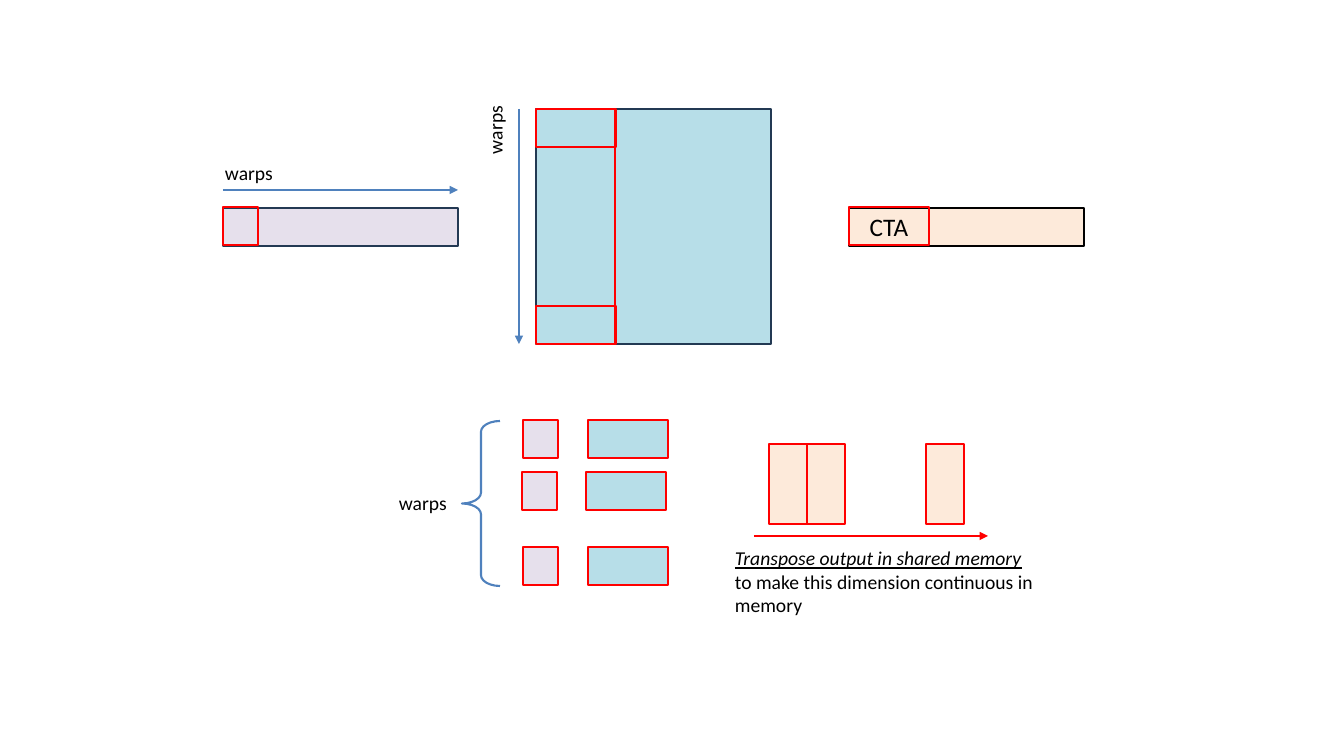
import pptx
import pptx.dml.color
import pptx.enum.shapes
import pptx.enum.text
import pptx.oxml.ns
import pptx.util
from lxml import etree

SHAPE = pptx.enum.shapes.MSO_SHAPE
RED, BLUE, NAVY, BLACK = "FF0000", "4F81BD", "233953", "000000"
LILAC, AQUA, PEACH = "E6E0EC", "B7DEE8", "FDEADA"

# Content, lengths in px
SLIDE = (1344, 756)
TILE_W, TILE_H, WARP_W = 80, 38, 35
MATRICES = [  # left, top, width, height, fill, line
    (536, 109, 235, 235, AQUA, NAVY),
    (849, 208, 235, TILE_H, PEACH, BLACK),
    (223, 208, 235, TILE_H, LILAC, NAVY),
]
TILES = [  # left, top, width, label
    (536, 109, TILE_W, ""),
    (849, 207, TILE_W, "CTA"),
    (223, 207, WARP_W, ""),
    (536, 306, TILE_W, ""),
]
LINES = [  # x1, y1, x2, y2, colour, width in pt, arrow
    (615, 109, 615, 344, RED, 1.5, False),
    (223, 190, 458, 190, BLUE, 1.5, True),
    (519, 109, 519, 344, BLUE, 1.5, True),
    (754, 536, 988, 536, RED, 1.75, True),
]
WARP_ROWS = [(523, 588, 420), (522, 586, 472), (523, 588, 547)]  # lilac x, aqua x, y
OUTPUT_X, OUTPUT_Y = (748, 786, 905), 465
BRACE = (462, 421, 38, 165)
LABELS = [  # box, runs (text, emphasised), vertical
    ((215, 156, 111, 34), [("warps", False)], False),
    ((478, 94, 44, 70), [("warps", False)], True),
    ((389, 486, 111, 34), [("warps", False)], False),
    ((725, 541, 324, 82), [("Transpose output in shared memory ", True),
                           ("to make this dimension continuous in memory", False)], False),
]


def px(n):
    return round(n * 914400 / 100.8)


def rgb(colour):
    return pptx.dml.color.RGBColor.from_string(colour)


def add_run(p, text, size=14, emphasis=False, colour=BLACK):
    r = p.add_run()
    r.text = text
    r.font.name = "Calibri"
    r.font.size = pptx.util.Pt(size)
    r.font.italic = r.font.underline = emphasis
    r.font.color.rgb = rgb(colour)


def add_box(x, y, w, h, fill=None, line=RED, kind=SHAPE.RECTANGLE):
    sp = s.shapes.add_shape(kind, px(x), px(y), px(w), px(h))
    sp.shadow.inherit = False
    if fill:
        sp.fill.solid()
        sp.fill.fore_color.rgb = rgb(fill)
    else:
        sp.fill.background()
    sp.line.color.rgb = rgb(line)
    sp.line.width = pptx.util.Pt(1.5)
    return sp


def add_line(x1, y1, x2, y2, colour, width, arrow):
    cxn = s.shapes.add_connector(pptx.enum.shapes.MSO_CONNECTOR.STRAIGHT,
                                 px(x1), px(y1), px(x2), px(y2))
    cxn.line.color.rgb = rgb(colour)
    cxn.line.width = pptx.util.Pt(width)
    if arrow:
        etree.SubElement(cxn.line._get_or_add_ln(), pptx.oxml.ns.qn("a:tailEnd"), type="triangle")
    etree.SubElement(cxn._element.spPr, pptx.oxml.ns.qn("a:effectLst"))


def add_label(box, runs, vertical):
    tf = s.shapes.add_textbox(*map(px, box)).text_frame
    tf.word_wrap = True
    tf.auto_size = pptx.enum.text.MSO_AUTO_SIZE.SHAPE_TO_FIT_TEXT
    if vertical:
        tf._txBody.bodyPr.set("vert", "vert270")
    for text, emphasis in runs:
        add_run(tf.paragraphs[0], text, emphasis=emphasis)


prs = pptx.Presentation()
prs.slide_width, prs.slide_height = map(px, SLIDE)
s = prs.slides.add_slide(prs.slide_layouts[6])

# Matrices and the tiles marked on them
for *box, fill, line in MATRICES:
    add_box(*box, fill, line)
for x, y, w, label in TILES:
    sp = add_box(x, y, w, TILE_H)
    if label:
        tf = sp.text_frame
        tf.vertical_anchor = pptx.enum.text.MSO_ANCHOR.MIDDLE
        tf.paragraphs[0].alignment = pptx.enum.text.PP_ALIGN.CENTER
        add_run(tf.paragraphs[0], label, size=18)

# Products per warp
for lilac_x, aqua_x, y in WARP_ROWS:
    add_box(aqua_x, y, TILE_W, TILE_H, AQUA)
    add_box(lilac_x, y, WARP_W, TILE_H, LILAC)
brace = add_box(*BRACE, line=BLUE, kind=SHAPE.LEFT_BRACE)
brace.adjustments[0] = 0.285
brace.adjustments[1] = 0.5

# Transposed output tiles
for x in OUTPUT_X:
    add_box(x, OUTPUT_Y, TILE_W, TILE_H, PEACH).rotation = 270

# Lines, arrows and labels
for line in LINES:
    add_line(*line)
for label in LABELS:
    add_label(*label)

prs.save("out.pptx")
